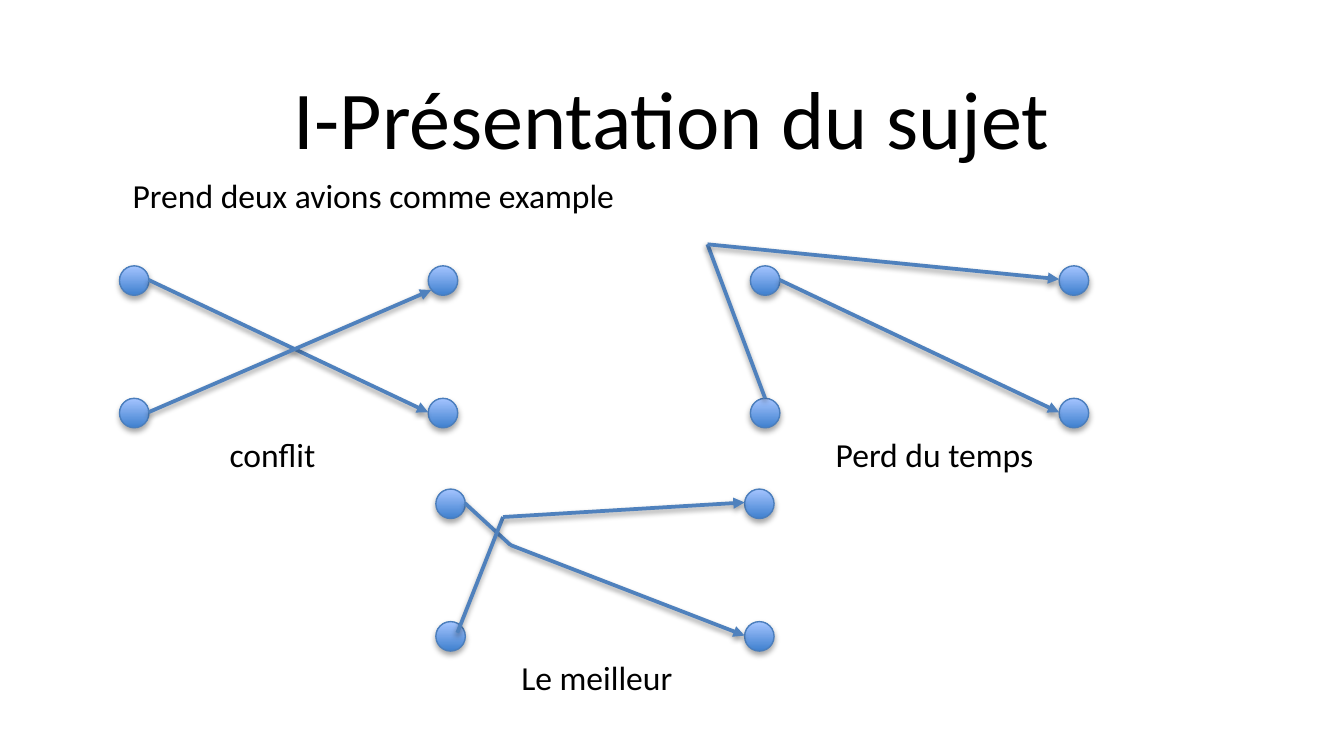
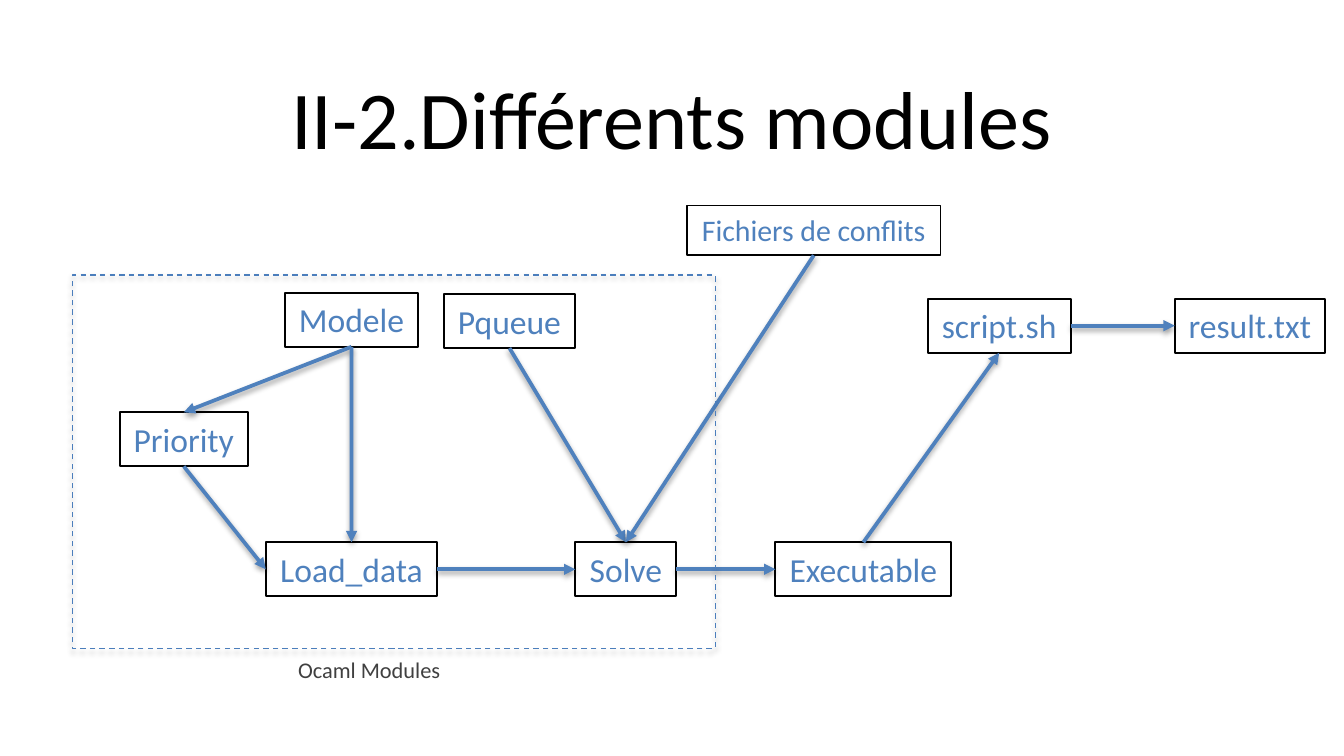
from dataclasses import dataclass

from lxml.etree import SubElement
from pptx import Presentation
from pptx.dml.color import RGBColor
from pptx.enum.dml import MSO_LINE
from pptx.enum.shapes import MSO_CONNECTOR, MSO_SHAPE
from pptx.enum.text import MSO_ANCHOR, MSO_AUTO_SIZE, PP_ALIGN
from pptx.oxml.ns import qn
from pptx.util import Pt


@dataclass(frozen=True)
class Theme:
    """Colours, type sizes and line widths of the deck."""
    font: str = "Calibri"
    text: str = "000000"
    muted: str = "404040"
    accent: str = "4F81BD"
    outline: str = "4B7EBC"
    dot_dark: str = "3F80CE"
    dot_light: str = "A4C4FF"
    title_size: float = 44
    body_size: float = 18
    small_size: float = 16
    caption_size: float = 12
    arrow_width: float = 2
    box_width: float = 1
    thin_width: float = 0.75


THEME = Theme()
TOP, LEFT, BOTTOM, RIGHT = range(4)  # connection sites of a rectangle


def write_text(shape, text, size=THEME.body_size, color=THEME.text,
               align=PP_ALIGN.LEFT, anchor=MSO_ANCHOR.TOP, wrap=False,
               auto_size=MSO_AUTO_SIZE.SHAPE_TO_FIT_TEXT, space_before=0):
    """Put one formatted paragraph into a shape."""
    frame = shape.text_frame
    frame.word_wrap = wrap
    frame.auto_size = auto_size
    frame.vertical_anchor = anchor
    paragraph = frame.paragraphs[0]
    paragraph.alignment = align
    paragraph.space_before = Pt(space_before)
    run = paragraph.add_run()
    run.text = text
    run.font.name = THEME.font
    run.font.size = Pt(size)
    run.font.color.rgb = RGBColor.from_string(color)


def add_shadow(shape, opacity, distance):
    """Give a shape with its line already set a soft downward shadow."""
    effects = SubElement(shape.element.spPr, qn("a:effectLst"))
    shadow = SubElement(effects, qn("a:outerShdw"), blurRad=str(Pt(3.1)),
                        dist=str(Pt(distance)), dir="5400000", rotWithShape="0")
    color = SubElement(shadow, qn("a:srgbClr"), val="000000")
    SubElement(color, qn("a:alpha"), val=str(opacity * 1000))


def set_line(shape, color, width):
    """Set the colour and the width in points of an outline or a line."""
    shape.line.color.rgb = RGBColor.from_string(color)
    shape.line.width = Pt(width)


class Deck:
    """The presentation, its style and the slide being filled."""

    def __init__(self, width, height):
        """Start an empty presentation of the given size."""
        self.presentation = Presentation()
        self.presentation.slide_width = Pt(width)
        self.presentation.slide_height = Pt(height)
        self.slide = None

    def new_slide(self, title):
        """Add a title-only slide and format its title."""
        layout = self.presentation.slide_layouts.get_by_name("Title Only")
        self.slide = self.presentation.slides.add_slide(layout)
        shape = self.slide.shapes.title
        shape.left, shape.top = Pt(131.8), Pt(27.4)
        shape.width, shape.height = Pt(456.5), Pt(69.8)
        write_text(shape, title, size=THEME.title_size, align=PP_ALIGN.CENTER,
                   anchor=MSO_ANCHOR.MIDDLE, wrap=True,
                   auto_size=MSO_AUTO_SIZE.NONE)

    def shape(self, kind, left, top, width, height):
        """Add a preset shape."""
        return self.slide.shapes.add_shape(
            kind, Pt(left), Pt(top), Pt(width), Pt(height))

    def label(self, text, left, top, width, height=29, **text_format):
        """Add a text box."""
        box = self.slide.shapes.add_textbox(
            Pt(left), Pt(top), Pt(width), Pt(height))
        write_text(box, text, **text_format)

    def dot(self, left, top, size):
        """Add a shaded dot."""
        dot = self.shape(MSO_SHAPE.OVAL, left, top, size, size)
        dot.fill.gradient()
        dot.fill.gradient_angle = 90
        colors = (THEME.dot_dark, THEME.dot_light)
        for stop, color, position in zip(dot.fill.gradient_stops, colors, (0, 1)):
            stop.color.rgb = RGBColor.from_string(color)
            stop.position = position
        set_line(dot, THEME.outline, THEME.thin_width)
        add_shadow(dot, 35, 1.8)

    def box(self, text, left, top, width, height=29, size=THEME.body_size):
        """Add an outlined box with centred text and return it."""
        box = self.shape(MSO_SHAPE.RECTANGLE, left, top, width, height)
        box.shadow.inherit = False
        box.fill.background()
        set_line(box, THEME.text, THEME.box_width)
        write_text(box, text, size=size, color=THEME.accent,
                   align=PP_ALIGN.CENTER)
        return box

    def dashed_frame(self, left, top, width, height):
        """Add an unfilled dashed frame."""
        frame = self.shape(MSO_SHAPE.RECTANGLE, left, top, width, height)
        frame.fill.background()
        set_line(frame, THEME.outline, THEME.thin_width)
        frame.line.dash_style = MSO_LINE.DASH
        add_shadow(frame, 35, 1.8)

    def line(self, start=(0, 0), end=(0, 0), arrow=True):
        """Add a straight line, with an arrowhead at its end if wanted."""
        connector = self.slide.shapes.add_connector(
            MSO_CONNECTOR.STRAIGHT, *(Pt(value) for value in (*start, *end)))
        set_line(connector, THEME.accent, THEME.arrow_width)
        if arrow:
            outline = connector.element.spPr.find(qn("a:ln"))
            SubElement(outline, qn("a:tailEnd"), type="triangle")
        add_shadow(connector, 38, 1.6)
        return connector

    def link(self, source, source_site, target, target_site):
        """Join two boxes with an arrow."""
        connector = self.line()
        connector.begin_connect(source, source_site)
        connector.end_connect(target, target_site)

    def scenario(self, left, top, lines):
        """Draw four dots and the flight lines, placed from the first dot."""
        for column in (0, 165.4):
            for row in (0, 71):
                self.dot(left + column, top + row, 15.8)
        for start, end, arrow in lines:
            self.line((left + start[0], top + start[1]),
                      (left + end[0], top + end[1]), arrow)


def build_subject(deck):
    """Show three ways for two planes to cross."""
    deck.new_slide("I-Présentation du sujet")
    upper_exit, lower_exit = (15.5, 7.5), (15.5, 78.5)
    upper_goal, lower_goal = (165.4, 7.2), (165.4, 78.5)
    detour, upper_bend, lower_bend = (-23, -11.5), (36, 15), (40, 30)
    deck.scenario(64, 142.4, [
        (upper_exit, lower_goal, True),
        (lower_exit, (167, 13), True),
    ])
    deck.scenario(402, 142.4, [
        (upper_exit, lower_goal, True),
        ((7.9, 71), detour, False),
        (detour, upper_goal, True),
    ])
    deck.scenario(233.5, 262, [
        (upper_exit, lower_bend, False),
        (lower_bend, lower_goal, True),
        ((11.5, 77), upper_bend, False),
        (upper_bend, upper_goal, True),
    ])
    deck.label("conflit", 115.9, 229, 61)
    deck.label("Perd du temps", 440.6, 229, 121.7)
    deck.label("Le meilleur ", 272.2, 348.5, 100.8)
    deck.label("Prend deux avions comme example", 64, 90, 275.8)


def build_modules(deck):
    """Show the modules and how data passes between them."""
    deck.new_slide("II-2.Différents modules")
    upper, lower = 157.5, 290.5
    model = deck.box("Modele", 152.6, 156.8, 71.4)
    priority = deck.box("Priority", 64.2, 220.9, 68.6)
    solve = deck.box("Solve", 308.2, lower, 54.2)
    queue = deck.box("Pqueue", 237.8, upper, 70.3)
    load_data = deck.box("Load_data", 142.4, lower, 91.9)
    script = deck.box("script.sh", 497, 160, 76.6)
    result = deck.box("result.txt", 629.3, 160, 80.6)
    conflicts = deck.box("Fichiers de conflits", 368, 110.1, 135.9, 26.7,
                         size=THEME.small_size)
    executable = deck.box("Executable", 415.4, lower, 94.3)
    for source, source_site, target, target_site in (
        (model, BOTTOM, priority, TOP),
        (priority, BOTTOM, load_data, LEFT),
        (model, BOTTOM, load_data, TOP),
        (queue, BOTTOM, solve, TOP),
        (load_data, RIGHT, solve, LEFT),
        (executable, TOP, script, BOTTOM),
        (script, RIGHT, result, LEFT),
        (conflicts, BOTTOM, solve, TOP),
        (solve, RIGHT, executable, LEFT),
    ):
        deck.link(source, source_site, target, target_site)
    deck.dashed_frame(38.8, 147.4, 344.4, 200)
    deck.label("Ocaml Modules", 152.6, 347.8, 96.5, 27.4,
               size=THEME.caption_size, color=THEME.muted, wrap=True,
               auto_size=MSO_AUTO_SIZE.NONE, space_before=2.4)


def main():
    """Build and save the deck."""
    deck = Deck(720, 405)
    build_subject(deck)
    build_modules(deck)
    deck.presentation.save("out.pptx")


main()
